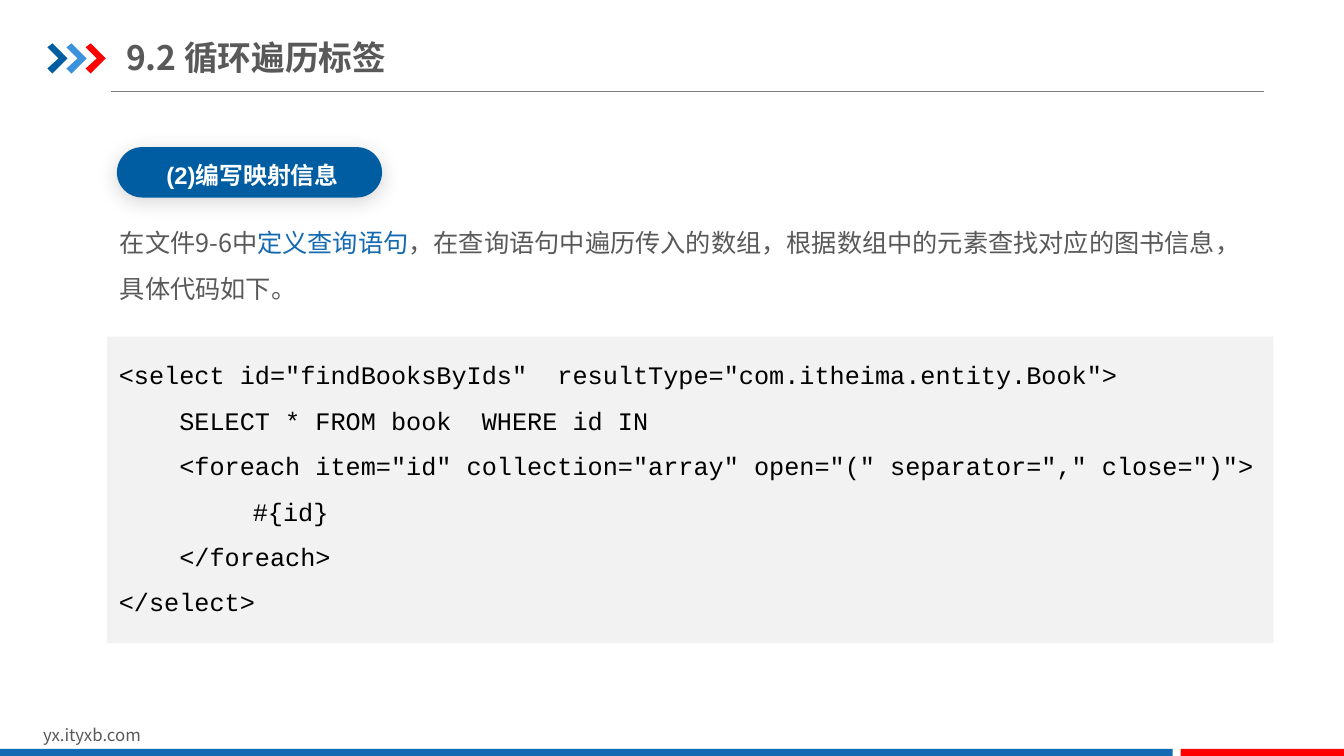
from dataclasses import dataclass, field
from typing import Any

import pptx
import pptx.dml.color
import pptx.enum.shapes
import pptx.enum.text
import pptx.oxml
import pptx.oxml.ns
import pptx.util
from pptx.util import Inches

COLORS = {
    "navy": "005DA2", "sky": "3992DB", "red": "FF0000", "blue": "1369B2",
    "gray": "595959", "rule": "808080", "panel": "F2F2F2",
    "white": "FFFFFF", "black": "000000",
}
CJK_FONT = "Noto Sans CJK SC"
DRAWING_NS = pptx.oxml.ns.nsdecls("a")
CODE_TAB = Inches(1.33)
CODE = """<select id="findBooksByIds"  resultType="com.itheima.entity.Book">
    SELECT * FROM book  WHERE id IN
    <foreach item="id" collection="array" open="(" separator="," close=")">
\t#{id}
    </foreach>
</select>"""


@dataclass
class Panel:
    kind: Any
    left: float
    top: float
    width: float
    height: float
    color: str
    shadowed: bool = False


@dataclass
class Label:
    """A text box; each paragraph is a list of (text, color name) runs."""
    left: float
    top: float
    width: float
    height: float
    paragraphs: list[list[tuple[str, str]]]
    font: dict[str, Any]
    paragraph: dict[str, Any] = field(default_factory=dict)
    frame: dict[str, Any] = field(default_factory=dict)
    tab: int = 0


RECTANGLE = pptx.enum.shapes.MSO_SHAPE.RECTANGLE
PILL = pptx.enum.shapes.MSO_SHAPE.ROUNDED_RECTANGLE
PANELS = [
    Panel(RECTANGLE, 0, 7.43, 11.63, 0.07, "blue"),
    Panel(RECTANGLE, 11.71, 7.43, 1.62, 0.07, "red"),
    Panel(PILL, 1.16, 1.46, 2.63, 0.5, "navy", shadowed=True),
    Panel(RECTANGLE, 1.06, 3.34, 11.57, 3.04, "panel"),
]
LABELS = [
    Label(0.33, 7.14, 3.18, 0.3, [[("yx.ityxb.com", "gray")]],
          {"name": CJK_FONT, "size": pptx.util.Pt(12)}),
    Label(1.25, 0.29, 7.19, 0.55, [[("9.2 循环遍历标签", "gray")]],
          {"name": CJK_FONT, "size": pptx.util.Pt(24), "bold": True},
          frame={"vertical_anchor": pptx.enum.text.MSO_ANCHOR.MIDDLE,
                 "margin_left": 0, "margin_right": 0,
                 "margin_top": Inches(0.07), "margin_bottom": Inches(0.07)}),
    Label(1.03, 1.45, 2.95, 0.6, [[("(2)编写映射信息", "white")]],
          {"name": "Arial", "size": pptx.util.Pt(17), "bold": True},
          {"line_spacing": 1.35, "alignment": pptx.enum.text.PP_ALIGN.CENTER}),
    Label(1.09, 2.06, 11.26, 1.01,
          [[("在文件9-6中", "gray"), ("定义查询语句", "blue"),
            ("，在查询语句中遍历传入的数组，根据数组中的元素查找对应的图书信息，具体代码如下。", "gray")]],
          {"name": CJK_FONT, "size": pptx.util.Pt(18)}, {"line_spacing": 1.5}),
    Label(1.08, 3.37, 12.2, 2.93, [[(line, "black")] for line in CODE.splitlines()],
          {"name": "Courier New", "size": pptx.util.Pt(18)},
          {"line_spacing": 1.5}, tab=CODE_TAB),
]


def rgb(name: str) -> pptx.dml.color.RGBColor:
    return pptx.dml.color.RGBColor.from_string(COLORS[name])


def apply_format(target: Any, values: dict[str, Any]) -> None:
    for name, value in values.items():
        setattr(target, name, value)


def paint(shape: Any, color: str) -> None:
    shape.shadow.inherit = False
    shape.fill.solid()
    shape.fill.fore_color.rgb = rgb(color)
    shape.line.fill.background()


def add_panel(slide: Any, panel: Panel) -> None:
    shape = slide.shapes.add_shape(
        panel.kind, Inches(panel.left), Inches(panel.top),
        Inches(panel.width), Inches(panel.height))
    paint(shape, panel.color)
    if panel.kind == PILL:
        shape.adjustments[0] = 0.5
    if panel.shadowed:
        effects = shape._element.spPr.find(pptx.oxml.ns.qn("a:effectLst"))
        effects.append(pptx.oxml.parse_xml(
            f'<a:outerShdw {DRAWING_NS} blurRad="{pptx.util.Pt(15)}" '
            f'dist="{pptx.util.Pt(3)}" dir="5400000" algn="t" rotWithShape="0">'
            f'<a:srgbClr val="{COLORS["black"]}"><a:alpha val="17000"/></a:srgbClr>'
            '</a:outerShdw>'))


def add_chevron(slide: Any, left: float, color: str) -> None:
    top = 0.43
    outline = [(0, 0.04), (0.05, 0), (0.2, 0.15), (0.05, 0.3), (0, 0.25), (0.11, 0.15)]
    points = [(Inches(left + x), Inches(top + y)) for x, y in outline]
    builder = slide.shapes.build_freeform(*points[0])
    builder.add_line_segments(points[1:], close=True)
    paint(builder.convert_to_shape(), color)


def add_title_rule(slide: Any) -> None:
    rule = slide.shapes.add_connector(
        pptx.enum.shapes.MSO_CONNECTOR.STRAIGHT,
        Inches(1.1), Inches(0.91), Inches(12.54), Inches(0.91))
    rule.line.color.rgb = rgb("rule")
    rule.line.width = pptx.util.Pt(0.75)
    rule._element.spPr.append(pptx.oxml.parse_xml(f"<a:effectLst {DRAWING_NS}/>"))


def add_label(slide: Any, label: Label) -> None:
    box = slide.shapes.add_textbox(
        Inches(label.left), Inches(label.top), Inches(label.width), Inches(label.height))
    frame = box.text_frame
    apply_format(frame, {"word_wrap": True, **label.frame})
    for index, runs in enumerate(label.paragraphs):
        paragraph = frame.add_paragraph() if index else frame.paragraphs[0]
        apply_format(paragraph, label.paragraph)
        if label.tab:
            paragraph._p.get_or_add_pPr().append(pptx.oxml.parse_xml(
                f'<a:tabLst {DRAWING_NS}><a:tab pos="{label.tab}" algn="l"/></a:tabLst>'))
        for text, color in runs:
            run = paragraph.add_run()
            run.text = text
            apply_format(run.font, label.font)
            run.font.color.rgb = rgb(color)
            run.font._element.find(pptx.oxml.ns.qn("a:latin")).addnext(
                pptx.oxml.parse_xml(f'<a:ea {DRAWING_NS} typeface="{CJK_FONT}"/>'))


def main() -> None:
    presentation = pptx.Presentation()
    presentation.slide_width = Inches(13.33)
    presentation.slide_height = Inches(7.5)
    slide = presentation.slides.add_slide(presentation.slide_layouts[6])
    add_title_rule(slide)
    for index, color in enumerate(("navy", "sky", "red")):
        add_chevron(slide, 0.47 + 0.19 * index, color)
    for panel in PANELS:
        add_panel(slide, panel)
    for label in LABELS:
        add_label(slide, label)
    presentation.save("out.pptx")


if __name__ == "__main__":
    main()
